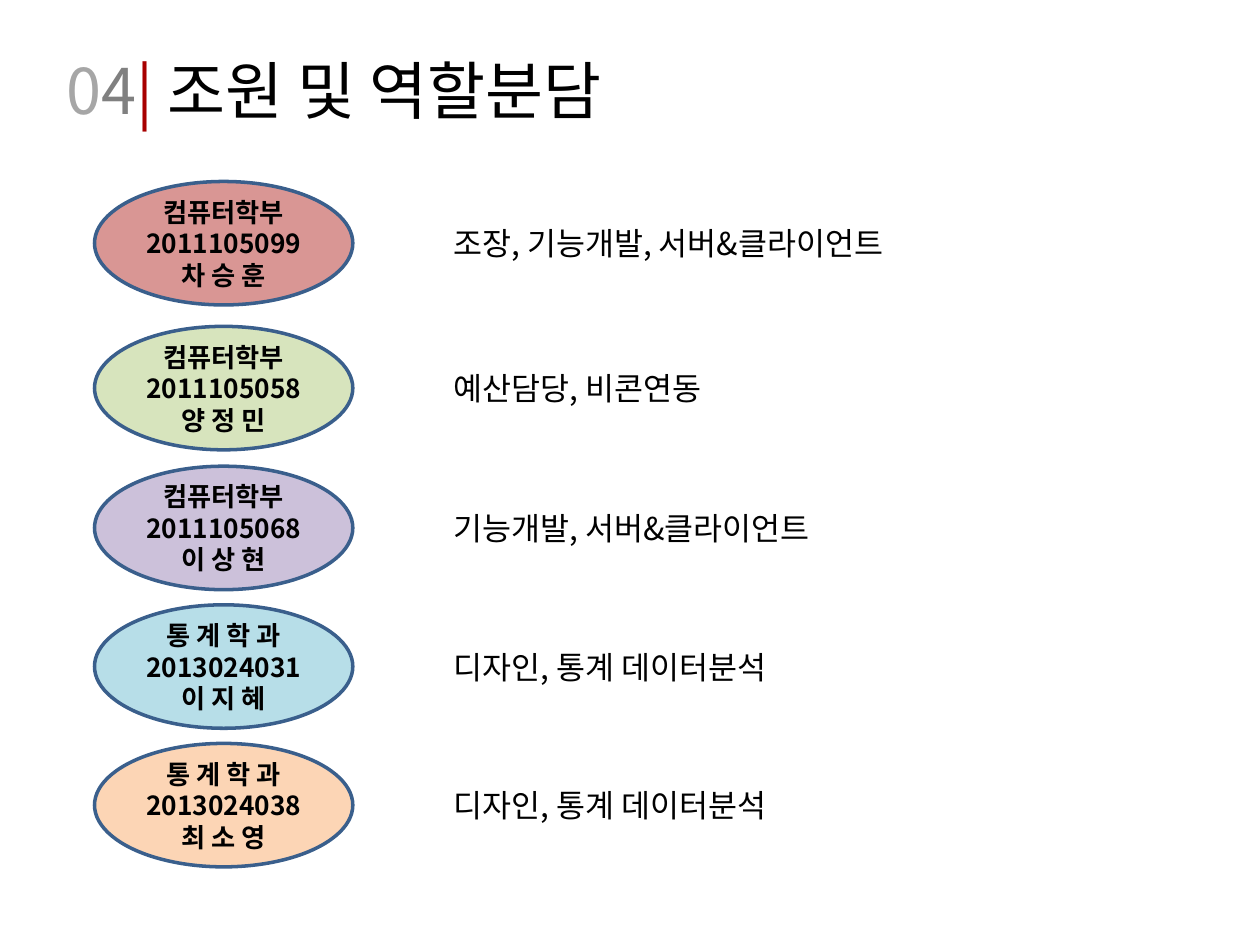
from lxml.etree import SubElement
from pptx import Presentation
from pptx.dml.color import RGBColor
from pptx.enum.shapes import MSO_SHAPE
from pptx.enum.text import MSO_ANCHOR, PP_ALIGN
from pptx.oxml.ns import qn
from pptx.util import Inches, Pt

COLORS = {
    "black": "000000", "light_gray": "A6A6A6", "gray": "808080",
    "red": "A80000", "outline": "3A5F8C", "rose": "D99694",
    "green": "D7E4BD", "purple": "CCC1DA", "aqua": "B7DEE8",
    "peach": "FCD5B5",
}


class TeamSlide:
    """Holds the text style and the current slide, and draws its elements."""

    font = "Noto Sans CJK KR"

    def __init__(self, prs):
        self.s = prs.slides.add_slide(prs.slide_layouts[6])

    def color(self, name):
        return RGBColor.from_string(COLORS[name])

    def style(self, r, size, color="black", bold=False):
        r.font.size = Pt(size)
        r.font.bold = bold
        r.font.color.rgb = self.color(color)
        r.font.name = self.font
        SubElement(r.font._element, qn("a:ea")).set("typeface", self.font)

    def text(self, x, y, w, h, runs, size):
        sp = self.s.shapes.add_textbox(Inches(x), Inches(y), Inches(w), Inches(h))
        tf = sp.text_frame
        tf.word_wrap = True
        for text, color in runs:
            r = tf.paragraphs[0].add_run()
            r.text = text
            self.style(r, size, color)

    def ellipse(self, x, y, w, h, fill, lines):
        sp = self.s.shapes.add_shape(
            MSO_SHAPE.OVAL, Inches(x), Inches(y), Inches(w), Inches(h))
        sp.shadow.inherit = False
        sp.fill.solid()
        sp.fill.fore_color.rgb = self.color(fill)
        sp.line.color.rgb = self.color("outline")
        sp.line.width = Pt(2)
        tf = sp.text_frame
        tf.vertical_anchor = MSO_ANCHOR.MIDDLE
        tf.text = "\n".join(lines)
        for p in tf.paragraphs:
            p.alignment = PP_ALIGN.CENTER
            for r in p.runs:
                self.style(r, 15, bold=True)


prs = Presentation()
prs.slide_width, prs.slide_height = Inches(10), Inches(7.5)
slide = TeamSlide(prs)

slide.text(0.43, 0.36, 5.14, 0.71, [
    ("0", "light_gray"), ("4", "gray"), ("| ", "red"),
    ("조원 및 역할분담", "black")], 36)

COMPUTING, STATISTICS = "컴퓨터학부", "통 계 학 과"
MEMBERS = [
    (1.44, "rose", COMPUTING, "2011105099", "차 승 훈", "조장, 기능개발, 서버&클라이언트", 4.21),
    (2.59, "green", COMPUTING, "2011105058", "양 정 민", "예산담당, 비콘연동", 3.78),
    (3.7, "purple", COMPUTING, "2011105068", "이 상 현", "기능개발, 서버&클라이언트", 3.98),
    (4.8, "aqua", STATISTICS, "2013024031", "이 지 혜", "디자인, 통계 데이터분석", 3.78),
    (5.9, "peach", STATISTICS, "2013024038", "최 소 영", "디자인, 통계 데이터분석", 3.78),
]
OVAL_H, ROLE_H = 0.98, 0.4
for top, fill, department, number, name, role, role_w in MEMBERS:
    slide.ellipse(0.75, top, 2.05, OVAL_H, fill, (department, number, name))
    slide.text(3.5, top + (OVAL_H - ROLE_H) / 2, role_w, ROLE_H, [(role, "black")], 18)

prs.save("out.pptx")
